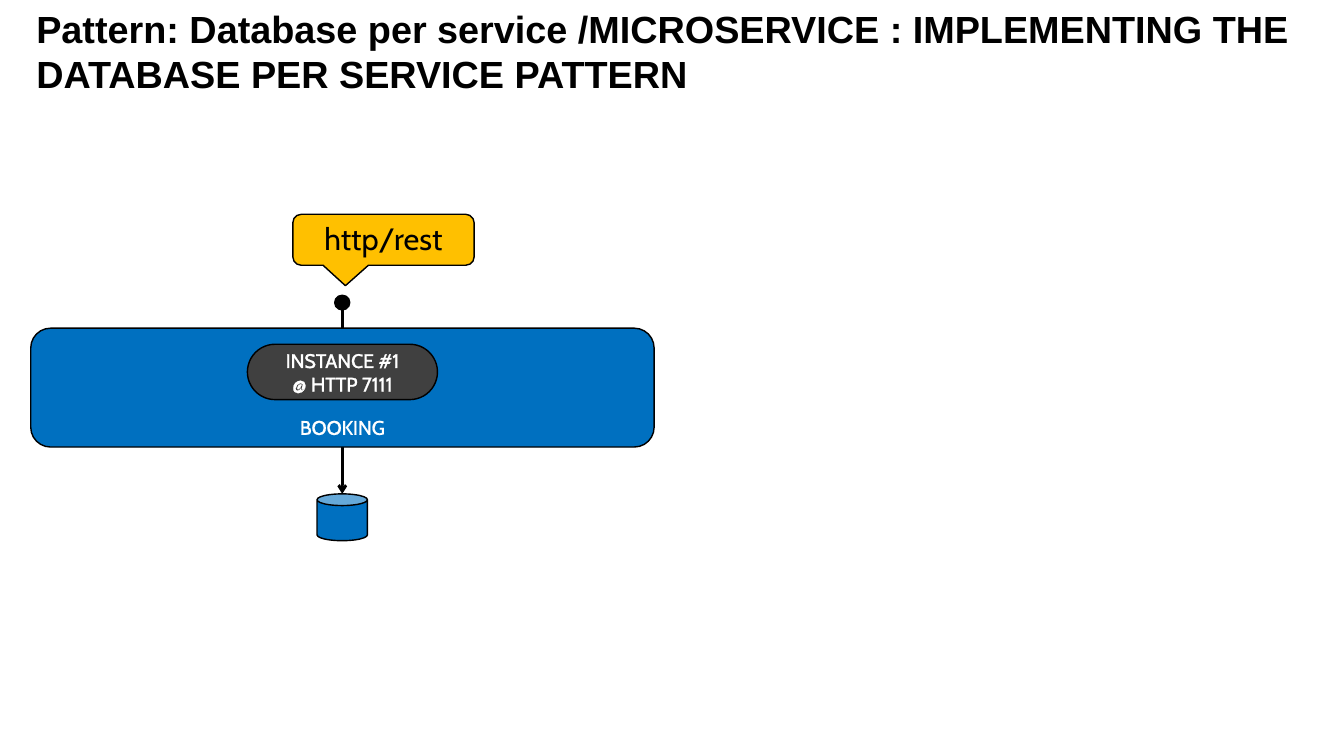
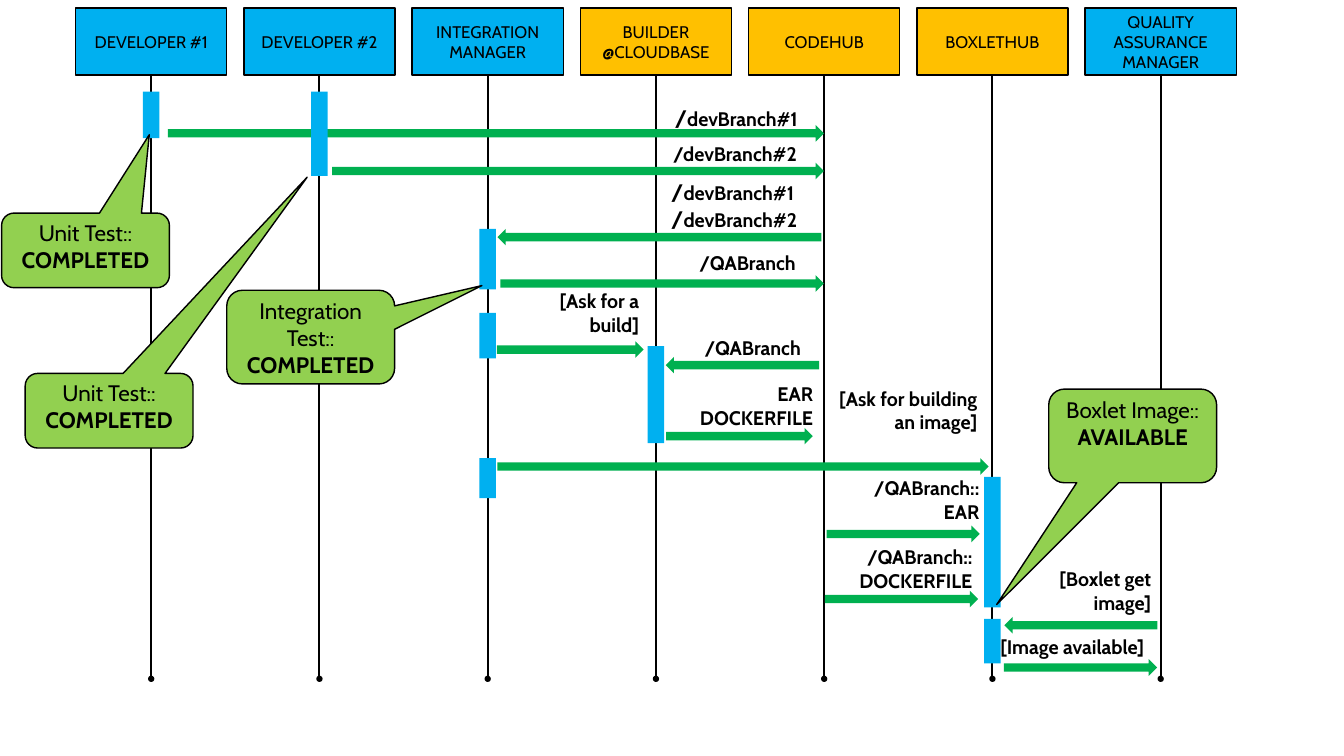
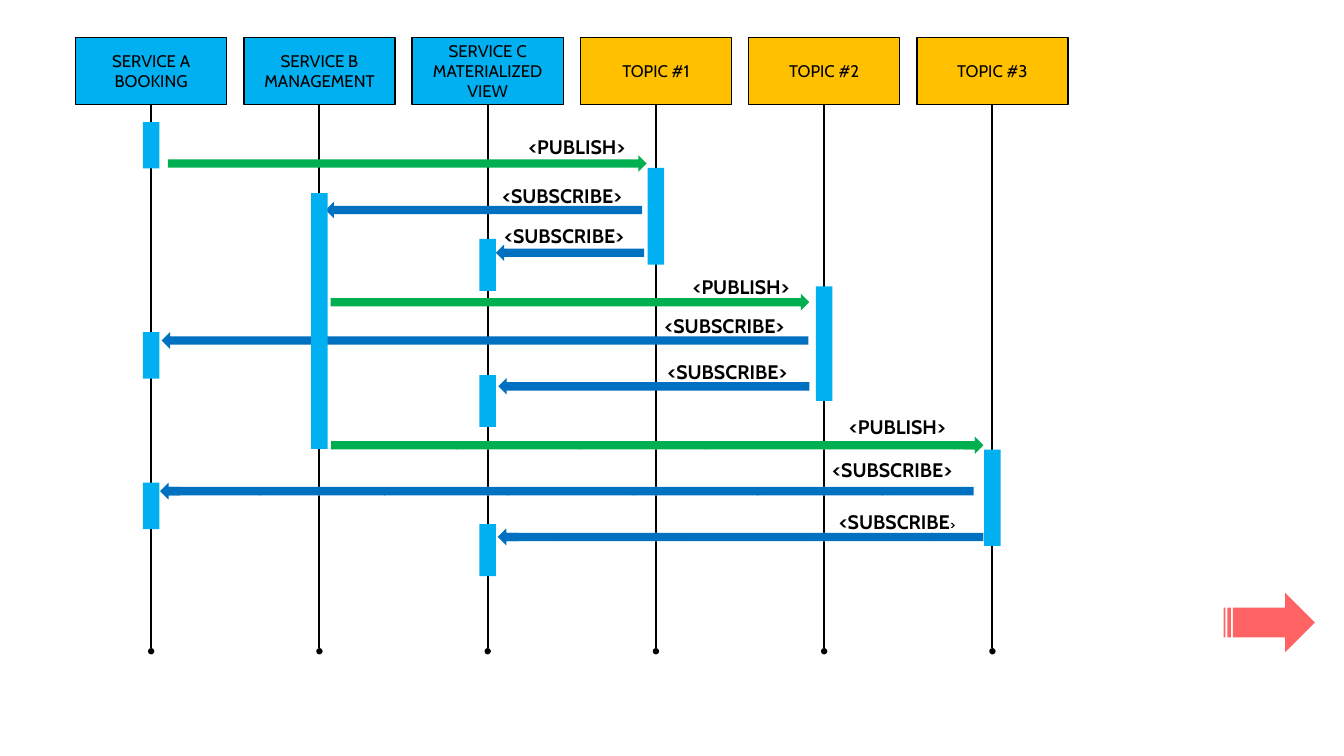
"""Build three slides: one service with its database, and two sequence diagrams."""
from collections.abc import Sequence
from dataclasses import dataclass
from typing import Any, NamedTuple

import lxml.etree
import pptx
import pptx.dml.color
import pptx.enum.dml
import pptx.enum.shapes
import pptx.enum.text
import pptx.oxml.ns
import pptx.util

Cm = pptx.util.Cm
Pt = pptx.util.Pt
SHAPES = pptx.enum.shapes.MSO_SHAPE
ALIGN = pptx.enum.text.PP_ALIGN
ANCHOR = pptx.enum.text.MSO_ANCHOR


@dataclass(frozen=True)
class Theme:
    """Colours, fonts, type sizes and line widths of the presentation."""
    black: str = "000000"
    white: str = "FFFFFF"
    blue: str = "0070C0"
    sky: str = "00B0F0"
    amber: str = "FFC000"
    green: str = "00B050"
    lime: str = "92D050"
    charcoal: str = "404040"
    red: str = "FF0000"
    title_font: str = "Arial"
    body_font: str = "Cabin"
    title_size: int = 54
    bubble_size: int = 44
    callout_size: int = 32
    label_size: int = 28
    header_size: int = 24
    small_size: int = 18
    outline: int = 2
    lifeline: int = 3
    link: int = 4


THEME = Theme()


class Box(NamedTuple):
    """Position and size in centimetres."""
    left: float
    top: float
    width: float
    height: float


class Run(NamedTuple):
    """A stretch of text in one size and weight."""
    text: str
    size: int
    bold: bool = False


Lines = Sequence[Sequence[Run]]


@dataclass(frozen=True)
class Lane:
    """A header box above a lifeline."""
    lines: tuple[str, ...]
    color: str


@dataclass(frozen=True)
class Bar:
    """An activation bar on the lifeline of a lane."""
    lane: int
    top: float
    height: float


@dataclass(frozen=True)
class Message:
    """A block arrow from start to end, seen from the sender."""
    start: float
    end: float
    top: float
    color: str = THEME.green
    patterned: bool = False


@dataclass(frozen=True)
class Label:
    """The text beside a message."""
    left: float
    top: float
    width: float
    lines: Lines
    align: Any = ALIGN.LEFT
    wrap: bool = False


@dataclass(frozen=True)
class Callout:
    """A status bubble with the offset of its tip."""
    left: float
    top: float
    height: float
    tip: tuple[float, float]
    subject: str
    status: str


@dataclass(frozen=True)
class Sequence_Diagram:
    """Everything that one sequence slide shows."""
    header_top: float
    lifeline_end: float
    lanes: Sequence[Lane]
    bars: Sequence[Bar]
    messages: Sequence[Message]
    labels: Sequence[Label]
    callouts: Sequence[Callout] = ()


LANE_START, LANE_PITCH = 7.62, 8.48
HEADER_WIDTH, HEADER_HEIGHT = 7.62, 3.38
BAR_WIDTH = 0.84
ARROW_HEIGHT = 0.84
TIP_LENGTH = 1.0
CALLOUT_WIDTH = 8.46


def rgb(color: str) -> pptx.dml.color.RGBColor:
    """Turn a hexadecimal string into a colour."""
    return pptx.dml.color.RGBColor.from_string(color)


def add_xml(parent: Any, tag: str, **attributes: str) -> Any:
    """Append an element of the drawing namespace."""
    return lxml.etree.SubElement(parent, pptx.oxml.ns.qn(tag), attributes)


def plain(*texts: str, size: int, bold: bool = False) -> Lines:
    """Make one single-run line of each text."""
    return [[Run(text, size, bold)] for text in texts]


def write(frame: Any, lines: Lines, align: Any = ALIGN.CENTER, color: str = THEME.black,
          font: str = THEME.body_font) -> None:
    """Fill a text frame with one paragraph a line."""
    frame.text = "\n".join("" for _ in lines)
    for paragraph, runs in zip(frame.paragraphs, lines):
        paragraph.alignment = align
        for item in runs:
            run = paragraph.add_run()
            run.text = item.text
            run.font.name = font
            run.font.size = Pt(item.size)
            run.font.bold = item.bold
            run.font.color.rgb = rgb(color)


def outline_text(frame: Any, color: str) -> None:
    """Give the letters of a text frame a thin outline."""
    for paragraph in frame.paragraphs:
        for run in paragraph.runs:
            properties = run.font._element
            line = add_xml(properties, "a:ln", w=str(Pt(1.45)))
            add_xml(add_xml(line, "a:solidFill"), "a:srgbClr", val=color)
            properties.insert(0, line)


def add_shape(slide: Any, kind: Any, box: Box, color: str, outlined: bool = True,
              adjust: Sequence[float] = ()) -> Any:
    """Add a filled preset shape, with or without a black outline."""
    shape = slide.shapes.add_shape(kind, *map(Cm, box))
    shape.shadow.inherit = False
    shape.fill.solid()
    shape.fill.fore_color.rgb = rgb(color)
    if outlined:
        shape.line.color.rgb = rgb(THEME.black)
        shape.line.width = Pt(THEME.outline)
    else:
        shape.line.fill.background()
    for index, value in enumerate(adjust):
        shape.adjustments[index] = value
    return shape


def add_line(slide: Any, x: float, top: float, bottom: float, width: int,
             ending: str | None = None) -> None:
    """Add a vertical line that may carry an ending at its bottom."""
    line = slide.shapes.add_connector(
        pptx.enum.shapes.MSO_CONNECTOR.STRAIGHT, Cm(x), Cm(top), Cm(x), Cm(bottom))
    line.line.color.rgb = rgb(THEME.black)
    line.line.width = Pt(width)
    if ending:
        add_xml(line.line._get_or_add_ln(), "a:tailEnd", type=ending)
    add_xml(line._element.spPr, "a:effectLst")


def add_title(slide: Any, text: str) -> None:
    """Add the slide title."""
    frame = slide.shapes.add_textbox(Cm(1.73), Cm(0.66), Cm(64.26), Cm(3.78)).text_frame
    frame.word_wrap = True
    frame.vertical_anchor = ANCHOR.MIDDLE
    frame.margin_left = frame.margin_right = Cm(0.1)
    frame.margin_top = frame.margin_bottom = Cm(0.1)
    write(frame, plain(text, size=THEME.title_size, bold=True), ALIGN.LEFT,
          font=THEME.title_font)


def lane_x(index: int) -> float:
    """Return the centre of a lane."""
    return LANE_START + index * LANE_PITCH


def draw_lane(slide: Any, index: int, lane: Lane, top: float, end: float) -> None:
    """Draw a header box and the lifeline below it."""
    x = lane_x(index)
    header = add_shape(slide, SHAPES.RECTANGLE,
                       Box(x - HEADER_WIDTH / 2, top, HEADER_WIDTH, HEADER_HEIGHT), lane.color)
    write(header.text_frame, plain(*lane.lines, size=THEME.header_size))
    add_line(slide, x, top + HEADER_HEIGHT, end, THEME.lifeline, "oval")


def draw_arrow(slide: Any, message: Message) -> None:
    """Draw a message arrow; a patterned one gets a solid tip."""
    start, end = message.start, message.end
    box = Box(min(start, end), message.top, abs(end - start), ARROW_HEIGHT)
    arrow = add_shape(slide, SHAPES.RIGHT_ARROW, box, message.color, outlined=False)
    if end < start:
        arrow.rotation = 180
    if message.patterned:
        arrow.fill.patterned()
        arrow.fill.pattern = pptx.enum.dml.MSO_PATTERN.LIGHT_VERTICAL
        arrow.fill.fore_color.rgb = rgb(message.color)
        arrow.fill.back_color.rgb = rgb(THEME.white)
        tip_start = end - TIP_LENGTH if end > start else end + TIP_LENGTH
        draw_arrow(slide, Message(tip_start, end, message.top, message.color))


def draw_label(slide: Any, label: Label) -> None:
    """Draw the text of a message."""
    height = 0.25 + 1.2 * len(label.lines)
    frame = slide.shapes.add_textbox(
        *map(Cm, (label.left, label.top, label.width, height))).text_frame
    frame.word_wrap = label.wrap
    frame.auto_size = pptx.enum.text.MSO_AUTO_SIZE.SHAPE_TO_FIT_TEXT
    write(frame, label.lines, label.align)


def draw_callout(slide: Any, callout: Callout) -> None:
    """Draw a status bubble."""
    shape = add_shape(slide, SHAPES.ROUNDED_RECTANGULAR_CALLOUT,
                      Box(callout.left, callout.top, CALLOUT_WIDTH, callout.height),
                      THEME.lime, adjust=callout.tip)
    shape.text_frame.vertical_anchor = ANCHOR.TOP
    write(shape.text_frame, [[Run(callout.subject + " ", THEME.callout_size),
                              Run(callout.status, THEME.callout_size, True)]])


def draw_sequence(slide: Any, diagram: Sequence_Diagram) -> None:
    """Draw a whole sequence diagram from back to front."""
    for index, lane in enumerate(diagram.lanes):
        draw_lane(slide, index, lane, diagram.header_top, diagram.lifeline_end)
    for message in diagram.messages:
        draw_arrow(slide, message)
    for bar in diagram.bars:
        add_shape(slide, SHAPES.RECTANGLE,
                  Box(lane_x(bar.lane) - BAR_WIDTH / 2, bar.top, BAR_WIDTH, bar.height),
                  THEME.sky, outlined=False)
    for label in diagram.labels:
        draw_label(slide, label)
    for callout in diagram.callouts:
        draw_callout(slide, callout)


def draw_service(slide: Any) -> None:
    """Draw the booking service with its endpoint and database."""
    center = 17.25
    add_title(slide, "Pattern: Database per service /MICROSERVICE : "
                     "IMPLEMENTING THE DATABASE PER SERVICE PATTERN")
    add_line(slide, center, 22.53, 24.89, THEME.link, "arrow")
    add_line(slide, center, 15.6, 16.54, THEME.link)
    service = add_shape(slide, SHAPES.ROUNDED_RECTANGLE, Box(1.55, 16.54, 31.42, 5.99), THEME.blue)
    service.text_frame.vertical_anchor = ANCHOR.BOTTOM
    add_shape(slide, SHAPES.CAN, Box(center - 1.27, 24.89, 2.54, 2.36), THEME.blue)
    add_shape(slide, SHAPES.OVAL, Box(center - 0.38, 14.88, 0.76, 0.74), THEME.black)
    instance = add_shape(slide, SHAPES.ROUNDED_RECTANGLE, Box(12.47, 17.35, 9.58, 2.79),
                         THEME.charcoal, adjust=[0.5])
    for shape, texts in ((service, ["BOOKING"]), (instance, ["INSTANCE #1", "@ HTTP 7111"])):
        write(shape.text_frame, plain(*texts, size=THEME.label_size), color=THEME.white)
        outline_text(shape.text_frame, THEME.white)
    bubble = add_shape(slide, SHAPES.ROUNDED_RECTANGULAR_CALLOUT, Box(14.76, 10.8, 9.14, 2.57),
                       THEME.amber, adjust=[-0.21, 0.9])
    bubble.text_frame.vertical_anchor = ANCHOR.TOP
    write(bubble.text_frame, plain("http/rest", size=THEME.bubble_size))


def draw_next_arrow(slide: Any) -> None:
    """Draw the translucent arrow in the lower right corner."""
    arrow = add_shape(slide, SHAPES.STRIPED_RIGHT_ARROW, Box(61.67, 29.87, 4.6, 3.0),
                      THEME.red, outlined=False)
    color = arrow._element.spPr.find(".//" + pptx.oxml.ns.qn("a:srgbClr"))
    add_xml(color, "a:alpha", val="61000")


def bold(*texts: str) -> Lines:
    """Make bold lines in label size."""
    return plain(*texts, size=THEME.label_size, bold=True)


def branch(number: int) -> list[Run]:
    """Make a branch name with a large slash."""
    return [Run("/", THEME.callout_size, True),
            Run(f"devBranch#{number}", THEME.label_size, True)]


DELIVERY = Sequence_Diagram(
    header_top=0.4, lifeline_end=34.21,
    lanes=[Lane(("DEVELOPER #1",), THEME.sky), Lane(("DEVELOPER #2",), THEME.sky),
           Lane(("INTEGRATION MANAGER",), THEME.sky),
           Lane(("BUILDER", "@CLOUDBASE"), THEME.amber), Lane(("CODEHUB",), THEME.amber),
           Lane(("BOXLETHUB",), THEME.amber), Lane(("QUALITY ASSURANCE MANAGER",), THEME.sky)],
    bars=[Bar(0, 4.62, 2.34), Bar(1, 4.62, 4.24), Bar(2, 11.53, 3.05), Bar(2, 15.77, 2.29),
          Bar(2, 23.09, 2.01), Bar(3, 17.45, 4.88), Bar(5, 24.03, 6.58), Bar(5, 31.19, 2.24)],
    messages=[Message(8.46, 41.53, 6.3), Message(16.74, 41.53, 8.2), Message(41.4, 25.07, 11.53),
              Message(25.22, 41.53, 13.87), Message(25.04, 32.44, 17.2),
              Message(41.28, 33.55, 17.98), Message(33.58, 40.97, 21.56),
              Message(25.07, 49.83, 23.09), Message(41.66, 49.38, 26.49),
              Message(41.58, 49.3, 29.77), Message(58.34, 50.62, 31.09),
              Message(50.6, 58.32, 33.22)],
    labels=[Label(33.76, 5.11, 7.11, [branch(1)]),
            Label(33.68, 7.01, 7.06, bold("/devBranch#2")),
            Label(33.58, 8.84, 7.11, [branch(1), branch(2)]),
            Label(35.0, 12.52, 5.72, bold("/QABranch")),
            Label(25.07, 14.45, 7.39, bold("[Ask for a", "build]"), ALIGN.RIGHT, True),
            Label(35.26, 16.81, 5.72, bold("/QABranch")),
            Label(34.24, 19.13, 6.99, bold("EAR", "DOCKERFILE"), ALIGN.RIGHT),
            Label(41.58, 19.35, 7.92, bold("[Ask for building", "an image]"), ALIGN.RIGHT, True),
            Label(43.21, 23.88, 6.4, bold("/QABranch::", "EAR"), ALIGN.RIGHT),
            Label(42.27, 27.36, 6.99, bold("/QABranch::", "DOCKERFILE"), ALIGN.RIGHT),
            Label(51.89, 28.45, 6.38, bold("[Boxlet get image]"), ALIGN.RIGHT, True),
            Label(50.17, 31.85, 8.56, bold("[Image available]"))],
    callouts=[Callout(11.43, 14.63, 4.72, (1.02, -0.55), "Integration Test::", "COMPLETED"),
              Callout(52.86, 19.61, 4.72, (-0.81, 1.8), "Boxlet Image::", "AVAILABLE"),
              Callout(0.08, 10.74, 3.76, (0.38, -1.55), "Unit Test::", "COMPLETED"),
              Callout(1.27, 18.82, 3.76, (1.18, -3.13), "Unit Test::", "COMPLETED")])

PUBLISH = bold("<PUBLISH>")
SUBSCRIBE = bold("<SUBSCRIBE>")
SUBSCRIBE_SMALL_END = [[Run("<SUBSCRIBE", THEME.label_size, True),
                        Run(">", THEME.small_size, True)]]

EVENTS = Sequence_Diagram(
    header_top=1.89, lifeline_end=32.82,
    lanes=[Lane(("SERVICE A", "BOOKING"), THEME.sky), Lane(("SERVICE B", "MANAGEMENT"), THEME.sky),
           Lane(("SERVICE C", "MATERIALIZED VIEW"), THEME.sky),
           *(Lane((f"TOPIC #{number}",), THEME.amber) for number in (1, 2, 3))],
    bars=[*(Bar(0, top, 2.34) for top in (6.15, 16.74, 24.33)), Bar(1, 9.73, 12.9),
          *(Bar(2, top, 2.62) for top in (12.04, 18.9, 26.42)),
          Bar(3, 8.46, 4.88), Bar(4, 14.43, 5.77), Bar(5, 22.66, 4.85)],
    messages=[Message(8.46, 32.59, 7.82), Message(32.36, 16.41, 10.16, THEME.blue),
              Message(32.46, 24.99, 12.32, THEME.blue), Message(16.66, 40.79, 14.81),
              Message(40.74, 8.15, 16.74, THEME.blue), Message(40.79, 25.12, 19.05, THEME.blue),
              Message(16.66, 49.56, 22.02, patterned=True),
              Message(49.07, 8.08, 24.33, THEME.blue, True),
              Message(49.56, 25.1, 26.64, THEME.blue, True)],
    labels=[Label(26.39, 6.68, 6.05, PUBLISH), Label(25.07, 9.12, 7.54, SUBSCRIBE),
            Label(25.17, 11.18, 7.54, SUBSCRIBE), Label(34.67, 13.74, 6.05, PUBLISH),
            Label(33.25, 15.72, 7.54, SUBSCRIBE), Label(33.4, 18.03, 8.1, SUBSCRIBE, wrap=True),
            Label(42.55, 20.78, 6.05, PUBLISH), Label(41.71, 22.94, 7.75, SUBSCRIBE, wrap=True),
            Label(42.04, 25.58, 7.42, SUBSCRIBE_SMALL_END, wrap=True)])


def main() -> None:
    """Build and save the presentation."""
    presentation = pptx.Presentation()
    presentation.slide_width, presentation.slide_height = Cm(67.74), Cm(38.1)
    service, delivery, events = (
        presentation.slides.add_slide(presentation.slide_layouts[6]) for _ in range(3))
    draw_service(service)
    draw_sequence(delivery, DELIVERY)
    draw_sequence(events, EVENTS)
    draw_next_arrow(events)
    presentation.save("out.pptx")


main()
